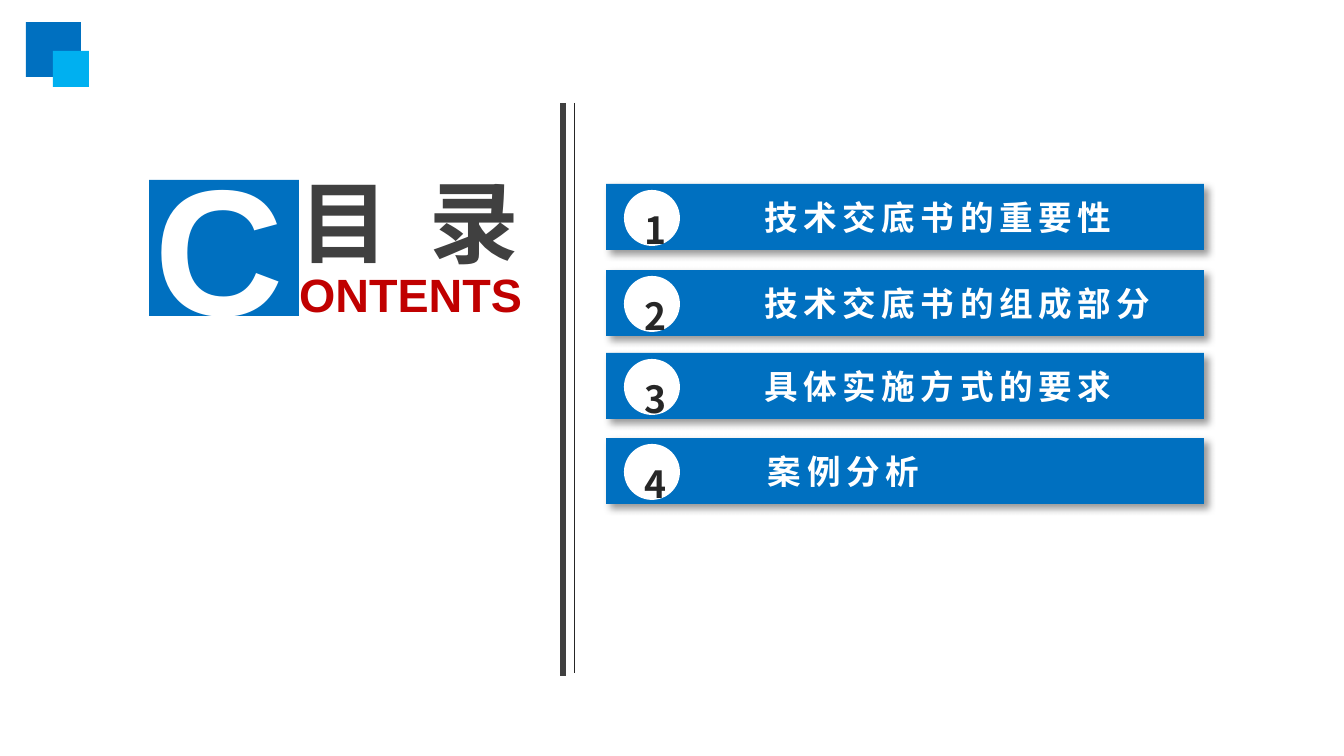
from lxml.etree import SubElement
from pptx import Presentation
from pptx.dml.color import RGBColor
from pptx.enum.shapes import MSO_CONNECTOR, MSO_SHAPE
from pptx.enum.text import MSO_AUTO_SIZE, PP_ALIGN
from pptx.oxml.ns import qn
from pptx.util import Emu, Pt

PX_PER_INCH = 134.4
BLUE, SKY, WHITE, RED = "0070C0", "00B0F0", "FFFFFF", "C00000"
GREY, DARK = "404040", "262626"
LATIN, CJK = "Arial", "Noto Sans CJK SC"

ROW_LEFT, ROW_WIDTH, ROW_HEIGHT = 606, 598, 66
# Row top, label, label width, alignment
CHAPTERS = [
    (184, "技术交底书的重要性", 383, PP_ALIGN.LEFT),
    (270, "技术交底书的组成部分", 423, PP_ALIGN.LEFT),
    (353, "具体实施方式的要求", 383, PP_ALIGN.LEFT),
    (438, "案例分析", 185, PP_ALIGN.CENTER),
]


def px(length):
    return Emu(round(length * 914400 / PX_PER_INCH))


def colour(hex_value):
    return RGBColor.from_string(hex_value)


def add_block(slide, kind, left, top, width, height, fill):
    block = slide.shapes.add_shape(kind, px(left), px(top), px(width), px(height))
    block.shadow.inherit = False
    block.fill.solid()
    block.fill.fore_color.rgb = colour(fill)
    block.line.fill.background()
    return block


def cast_shadow(block):
    """Give the block a soft shadow towards the lower right."""
    effects = block._element.spPr.find(qn("a:effectLst"))
    shadow = SubElement(effects, qn("a:outerShdw"), blurRad=str(Pt(4)),
                        dist=str(Pt(3)), dir="2700000", algn="tl", rotWithShape="0")
    black = SubElement(shadow, qn("a:srgbClr"), val="000000")
    SubElement(black, qn("a:alpha"), val="40000")


def add_text(slide, left, top, width, height, pieces, size, font, hex_value,
             wrap=False, **paragraph_format):
    """Place one bold paragraph; pieces are (text, letter spacing in points)."""
    box = slide.shapes.add_textbox(px(left), px(top), px(width), px(height))
    frame = box.text_frame
    frame.word_wrap = wrap
    frame.auto_size = MSO_AUTO_SIZE.SHAPE_TO_FIT_TEXT
    paragraph = frame.paragraphs[0]
    for name, value in paragraph_format.items():
        setattr(paragraph, name, value)
    for text, spacing in pieces:
        run = paragraph.add_run()
        run.text = text
        for name, value in {"size": Pt(size), "bold": True, "name": font}.items():
            setattr(run.font, name, value)
        run.font.color.rgb = colour(hex_value)
        properties = run._r.get_or_add_rPr()
        SubElement(properties, qn("a:ea"), typeface=font)
        if spacing:
            properties.set("spc", str(spacing * 100))


def add_corner_mark(slide, left, top):
    add_block(slide, MSO_SHAPE.RECTANGLE, left, top, 55, 55, BLUE)
    add_block(slide, MSO_SHAPE.RECTANGLE, left + 27, top + 29, 36, 36, SKY)


def add_heading(slide, left, top):
    add_block(slide, MSO_SHAPE.RECTANGLE, left, top, 150, 136, BLUE)
    add_text(slide, left + 137, top - 20, 262, 122,
             [("目", 0), (" ", 11), ("录", 0)], 48, CJK, GREY)
    add_text(slide, left + 137, top + 79, 261, 73, [("ONTENTS", 0)], 25, LATIN, RED)
    add_text(slide, left - 8, top - 50, 157, 231, [("C", 0)], 96, LATIN, WHITE)


def add_divider(slide, left, top):
    for offset, height, weight, hex_value in [(0, 573, 3, GREY), (11, 570, 0.25, DARK)]:
        x = px(left + offset)
        rule = slide.shapes.add_connector(MSO_CONNECTOR.STRAIGHT,
                                          x, px(top), x, px(top + height))
        rule.line.width = Pt(weight)
        rule.line.color.rgb = colour(hex_value)
        SubElement(rule._element.spPr, qn("a:effectLst"))


def add_chapter(slide, left, top, number, label, label_width, alignment):
    bar = add_block(slide, MSO_SHAPE.RECTANGLE, left, top, ROW_WIDTH, ROW_HEIGHT, BLUE)
    cast_shadow(bar)
    add_block(slide, MSO_SHAPE.OVAL, left + 18, top + 6, 56, 56, WHITE)
    add_text(slide, left + 5, top - 6, 89, 74, [(str(number), 0)], 20, CJK, DARK,
             wrap=True, alignment=PP_ALIGN.CENTER, line_spacing=1.5)
    add_text(slide, left + 145, top + 6, label_width, 54, [(label, 3)], 18, CJK, WHITE,
             alignment=alignment)


def main():
    deck = Presentation()
    deck.slide_width, deck.slide_height = px(1344), px(756)
    slide = deck.slides.add_slide(deck.slide_layouts[6])
    add_corner_mark(slide, 26, 22)
    add_heading(slide, 149, 180)
    add_divider(slide, 563, 103)
    for number, (top, label, label_width, alignment) in enumerate(CHAPTERS, 1):
        add_chapter(slide, ROW_LEFT, top, number, label, label_width, alignment)
    deck.save("out.pptx")


if __name__ == "__main__":
    main()
